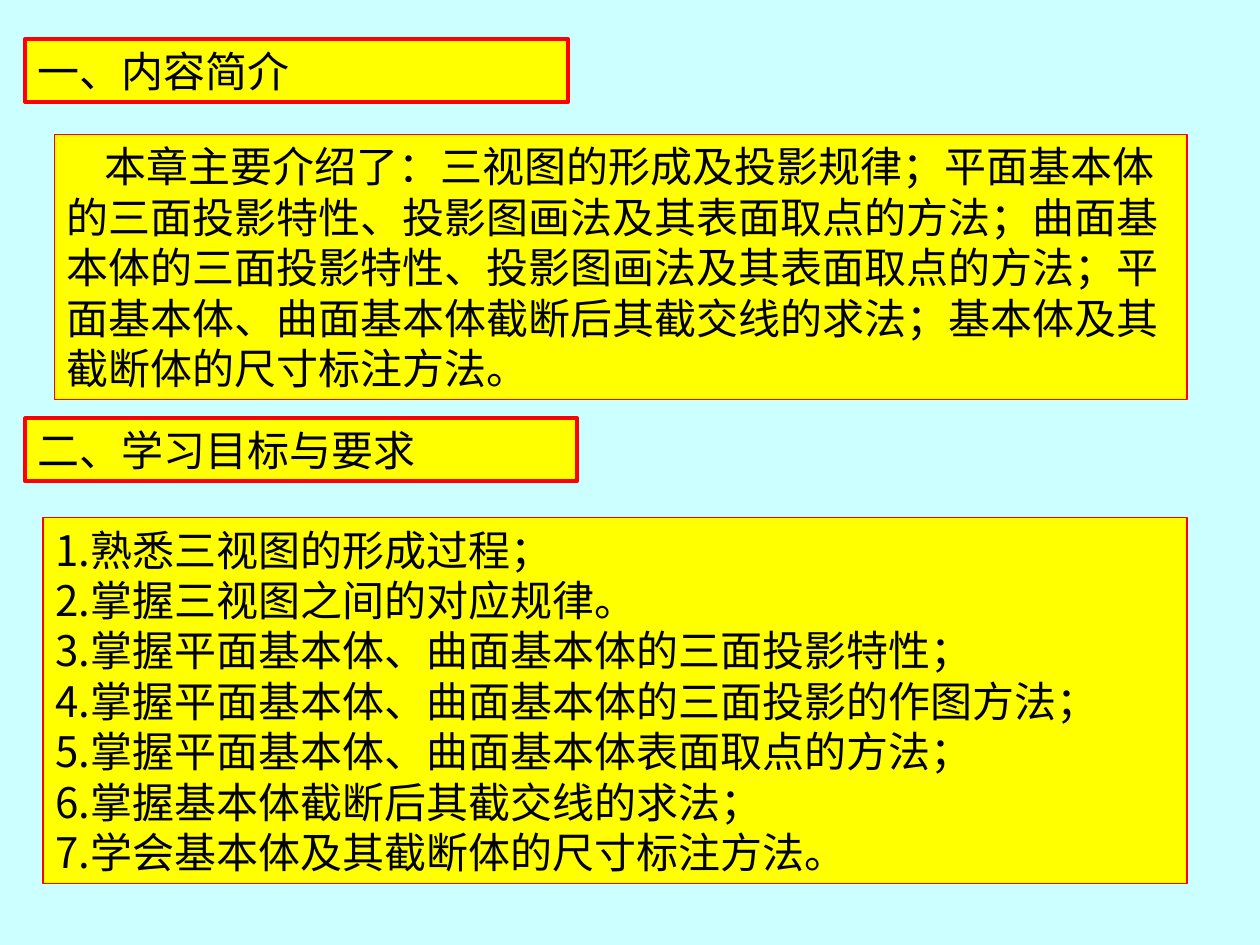
import pptx
import pptx.dml.color
import pptx.enum.text
import pptx.oxml.ns
import pptx.util
from lxml import etree
from pptx.util import Inches

BACKGROUND = pptx.dml.color.RGBColor(0xCC, 0xFF, 0xFF)
YELLOW = pptx.dml.color.RGBColor(0xFF, 0xFF, 0x00)
RED = pptx.dml.color.RGBColor(0xFF, 0x00, 0x00)
BLACK = pptx.dml.color.RGBColor(0x00, 0x00, 0x00)
HEADING_FONT = "Times New Roman"
BODY_FONT = "Noto Sans CJK SC"

INTRODUCTION = (
    "本章主要介绍了：三视图的形成及投影规律；平面基本体的三面投影特性、"
    "投影图画法及其表面取点的方法；曲面基本体的三面投影特性、"
    "投影图画法及其表面取点的方法；平面基本体、曲面基本体截断后其截交线的求法；"
    "基本体及其截断体的尺寸标注方法。"
)
GOALS = [
    "1.熟悉三视图的形成过程；",
    "2.掌握三视图之间的对应规律。",
    "3.掌握平面基本体、曲面基本体的三面投影特性；",
    "4.掌握平面基本体、曲面基本体的三面投影的作图方法；",
    "5.掌握平面基本体、曲面基本体表面取点的方法；",
    "6.掌握基本体截断后其截交线的求法；",
    "7.学会基本体及其截断体的尺寸标注方法。",
]


def format_panel(shape, box, lines, font_name, line_width, first_indent=0):
    shape.left, shape.top, shape.width, shape.height = box
    shape.fill.solid()
    shape.fill.fore_color.rgb = YELLOW
    shape.line.color.rgb = RED
    shape.line.width = pptx.util.Pt(line_width)

    text_frame = shape.text_frame
    text_frame.word_wrap = True
    text_frame.auto_size = pptx.enum.text.MSO_AUTO_SIZE.NONE
    text_frame.vertical_anchor = pptx.enum.text.MSO_ANCHOR.TOP
    text_frame.text = "\n".join(lines)
    for paragraph in text_frame.paragraphs:
        properties = paragraph._p.get_or_add_pPr()
        properties.set("marL", "0")
        properties.set("indent", str(int(first_indent)))
        etree.SubElement(properties, pptx.oxml.ns.qn("a:buNone"))
        paragraph.alignment = pptx.enum.text.PP_ALIGN.LEFT
        paragraph.space_before = pptx.util.Pt(0)
        paragraph.font.name = font_name
        paragraph.font.size = pptx.util.Pt(24)
        paragraph.font.color.rgb = BLACK


def add_heading(shape, box, text):
    format_panel(shape, box, [text], HEADING_FONT, 2.25)


def add_introduction(shape, box):
    format_panel(shape, box, [INTRODUCTION], BODY_FONT, 0.75, Inches(0.3))


def add_goals(shape, box):
    format_panel(shape, box, GOALS, BODY_FONT, 0.75)


def main():
    presentation = pptx.Presentation()
    presentation.slide_width = Inches(10)
    presentation.slide_height = Inches(7.5)
    slide = presentation.slides.add_slide(presentation.slide_layouts[1])
    slide.background.fill.solid()
    slide.background.fill.fore_color.rgb = BACKGROUND

    introduction_box = (Inches(0.43), Inches(1.07), Inches(8.99), Inches(2.1))
    goals_heading_box = (Inches(0.2), Inches(3.32), Inches(4.38), Inches(0.5))
    add_heading(
        slide.shapes.title,
        (Inches(0.2), Inches(0.31), Inches(4.31), Inches(0.5)),
        "一、内容简介",
    )
    add_introduction(slide.shapes.add_textbox(*introduction_box), introduction_box)
    add_heading(
        slide.shapes.add_textbox(*goals_heading_box),
        goals_heading_box,
        "二、学习目标与要求",
    )
    add_goals(
        slide.placeholders[1],
        (Inches(0.34), Inches(4.11), Inches(9.08), Inches(2.9)),
    )
    presentation.save("out.pptx")


if __name__ == "__main__":
    main()
